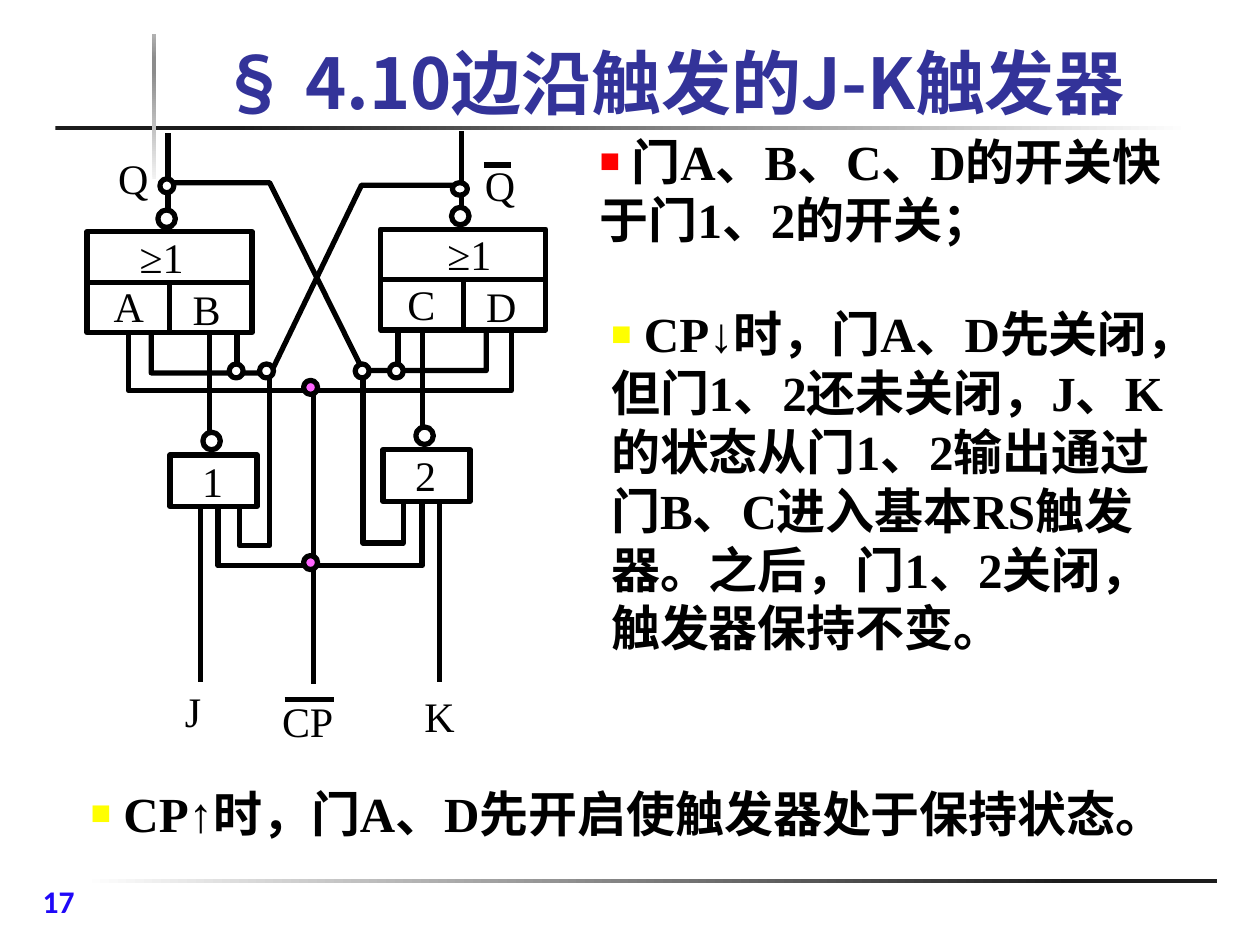
from copy import deepcopy
from typing import NamedTuple

from lxml.etree import SubElement
from pptx import Presentation
from pptx.dml.color import RGBColor
from pptx.enum.shapes import MSO_CONNECTOR as Connector, MSO_SHAPE as Preset
from pptx.enum.text import MSO_ANCHOR as Anchor, MSO_AUTO_SIZE as AutoSize, PP_ALIGN as Align
from pptx.oxml.ns import qn
from pptx.util import Pt

BLACK, WHITE, PINK = "000000", "FFFFFF", "FF66FF"
CJK, SERIF = "Noto Sans CJK SC", "Times New Roman"
TITLE_FONT = {"name": CJK, "size": Pt(40), "bold": True}
NUMBER_FONT = {"name": "Calibri", "size": Pt(18), "bold": True}
NOTE_FONT = {"name": SERIF, "size": Pt(28), "bold": True}
LABEL_FONT = {"name": SERIF, "size": Pt(24), "bold": False}


class Box(NamedTuple):
    left: float
    top: float
    width: float
    height: float


class Rule(NamedTuple):
    box: Box
    angle: int
    stops: list


class Note(NamedTuple):
    box: Box
    bullet: str
    text: str


class Label(NamedTuple):
    text: str
    left: float
    top: float


class Gate(NamedTuple):
    left: float
    top: float
    first: str
    second: str
    symbol_left: float


class Inverter(NamedTuple):
    left: float
    top: float
    text: str


class Node(NamedTuple):
    box: Box
    color: str


RULES = [
    Rule(Box(47.5, 502.5, 648, 2.2), 0, [(0, WHITE), (0.87, "1C1C1C")]),
    Rule(Box(31.7, 72, 648, 2.2), 0, [(0.16, "1C1C1C"), (1, WHITE)]),
    Rule(Box(87.1, 19.4, 2.2, 82.8), 90,
         [(0, "F2F2F2"), (0.74, "8C8C8C"), (0.83, "8C8C8C"), (1, "B2B2B2")]),
]
NOTES = [
    Note(Box(335.5, 71.3, 351.4, 75), "FF0000", "门A、B、C、D的开关快于门1、2的开关；"),
    Note(Box(342, 170, 336.2, 209), "FFFF00",
         "CP↓时，门A、D先关闭，但门1、2还未关闭，J、K的状态从门1、2输出通过门B、C进入基本RS触发器。"
         "之后，门1、2关闭，触发器保持不变。"),
    Note(Box(44.6, 444.2, 647.3, 41), "FFFF00", "CP↑时，门A、D先开启使触发器处于保持状态。"),
]
GATES = [Gate(49.7, 132.5, "A", "B", 23), Gate(217.5, 131, "C", "D", 31)]
INVERTERS = [Inverter(97.2, 260, "1"), Inverter(218.9, 257, "2")]
WIRES = [
    [(94.3, 104.4), (154.1, 104.4), (207.4, 211.7), (277.9, 211.7), (277.9, 189.4)],
    [(264.2, 105.8), (206.6, 105.8), (154.8, 213.1), (86.4, 213.1), (86.4, 190.8)],
    [(207.4, 211.7), (207.4, 310.3), (230.4, 310.3), (230.4, 286.6)],
    [(154.1, 213.1), (154.1, 311.8), (136.8, 311.8), (136.8, 288)],
    [(73.4, 190.8), (73.4, 223.2), (292.3, 223.2), (292.3, 189.4)],
    [(124.6, 289.4), (124.6, 323.3), (241.2, 323.3), (241.2, 288)],
]
LINES = [
    ((227.5, 189.4), (227.5, 211.7)),
    ((135.4, 190.8), (135.4, 208.8)),
    ((179.3, 224.6), (179.3, 391)),
    ((251.3, 286.6), (251.3, 389.5)),
    ((114.5, 289.4), (114.5, 389.5)),
    ((276.5, 94.3), (292.3, 94.3)),
    ((162.7, 399.6), (190.8, 399.6)),
]
NODES = [Node(Box(173.5, top, 8, 8), PINK) for top in (317.5, 217.4)]
NODES += [Node(Box(left, 208, 8, 8), WHITE) for left in (222.5, 131, 148.3, 203)]
NODES += [Node(Box(258.5, 104.4, 8.6, 7.2), WHITE), Node(Box(91.4, 102.2, 8, 8), WHITE)]
LABELS = [Label("Q", 60.5, 83.5), Label("Q", 270, 87.8), Label("CP", 154.1, 393.8),
          Label("J", 98.6, 388.1), Label("K", 235.4, 391)]


def color(value: str) -> RGBColor:
    return RGBColor.from_string(value)


def points(box: Box) -> list:
    return [Pt(length) for length in box]


def place(shape, box: Box) -> None:
    for name, length in box._asdict().items():
        setattr(shape, name, Pt(length))


def write(shape, text: str, font_format: dict, ink: str, **frame_format) -> None:
    frame = shape.text_frame
    settings = {"word_wrap": True, "auto_size": AutoSize.NONE, "vertical_anchor": Anchor.TOP}
    for name, value in (settings | frame_format).items():
        setattr(frame, name, value)
    paragraph = frame.paragraphs[0]
    paragraph.space_before = Pt(0)
    run = paragraph.add_run()
    run.text = text
    for name, value in font_format.items():
        setattr(run.font, name, value)
    run.font.color.rgb = color(ink)
    SubElement(run._r.get_or_add_rPr(), qn("a:ea")).set("typeface", CJK)


def draw_rule(shapes, rule: Rule) -> None:
    shape = shapes.add_shape(Preset.RECTANGLE, *points(rule.box))
    shape.shadow.inherit = False
    shape.line.fill.background()
    shape.fill.gradient()
    shape.fill.gradient_angle = rule.angle
    stop_list = shape._element.spPr.find(".//" + qn("a:gsLst"))
    for _ in rule.stops[2:]:
        stop_list.append(deepcopy(stop_list[0]))
    for stop, (position, value) in zip(shape.fill.gradient_stops, rule.stops):
        stop.position = position
        stop.color.rgb = color(value)


def write_note(shape, note: Note) -> None:
    place(shape, note.box)
    properties = shape.text_frame.paragraphs[0]._p.get_or_add_pPr()
    properties.set("marL", "0")
    properties.set("indent", "0")
    bullet_color = SubElement(properties, qn("a:buClr"))
    SubElement(bullet_color, qn("a:srgbClr")).set("val", note.bullet)
    SubElement(properties, qn("a:buSzPct")).set("val", "70000")
    SubElement(properties, qn("a:buChar")).set("char", "■")
    write(shape, " " + note.text, NOTE_FONT, BLACK)


def stroke(shape) -> None:
    shape.line.color.rgb = color(BLACK)
    shape.line.width = Pt(3)


def draw_outline(shapes, preset, box: Box, fill: str = ""):
    shape = shapes.add_shape(preset, *points(box))
    shape.shadow.inherit = False
    if fill:
        shape.fill.solid()
        shape.fill.fore_color.rgb = color(fill)
    else:
        shape.fill.background()
    stroke(shape)
    return shape


def draw_line(shapes, start: tuple, end: tuple):
    line = shapes.add_connector(Connector.STRAIGHT, *(Pt(value) for value in start + end))
    stroke(line)
    SubElement(line._element.spPr, qn("a:effectLst"))
    return line


def draw_wire(shapes, corners: list) -> None:
    start, *others = [(Pt(x), Pt(y)) for x, y in corners]
    builder = shapes.build_freeform(*start)
    builder.add_line_segments(others, close=False)
    wire = builder.convert_to_shape()
    wire.shadow.inherit = False
    wire.fill.background()
    stroke(wire)


def draw_label(shapes, label: Label) -> None:
    box = Box(label.left, label.top, 58, 36)
    write(shapes.add_textbox(*points(box)), label.text, LABEL_FONT, BLACK)


def draw_gate(shapes, gate: Gate) -> None:
    x, y = gate.left, gate.top
    width, height = 94.4, 57.6
    middle_x, middle_y = x + width / 2, y + height / 2
    body = draw_outline(shapes, Preset.RECTANGLE, Box(x, y, width, height))
    divider = draw_line(shapes, (x, middle_y), (x + width, middle_y))
    divider.begin_connect(body, 1)
    divider.end_connect(body, 3)
    draw_line(shapes, (middle_x, y + height), (middle_x, middle_y)).begin_connect(body, 2)
    draw_outline(shapes, Preset.OVAL, Box(x + 40.5, y - 12.5, 10, 10))
    draw_line(shapes, (x + 46.3, y - 12.5), (x + 46.3, y - 56.2))
    for label in (Label("≥1", x + gate.symbol_left, y - 4),
                  Label(gate.first, x + 8.2, y + 24.5), Label(gate.second, x + 53.3, y + 26)):
        draw_label(shapes, label)


def draw_inverter(shapes, inverter: Inverter) -> None:
    x, y = inverter.left, inverter.top
    draw_outline(shapes, Preset.RECTANGLE, Box(x, y, 49.7, 29.5))
    draw_outline(shapes, Preset.OVAL, Box(x + 18.7, y - 13, 10, 10))
    draw_line(shapes, (x + 22.6, y - 13), (x + 22.6, y - 68.5))
    draw_label(shapes, Label(inverter.text, x + 11.2, y - 3.5))


def main() -> None:
    presentation = Presentation()
    presentation.slide_width, presentation.slide_height = Pt(720), Pt(540)
    slide = presentation.slides.add_slide(presentation.slide_layouts[4])
    shapes = slide.shapes
    title, *bodies = list(slide.placeholders)
    place(title, Box(100.8, 24.5, 566.6, 46.1))
    write(title, "§ 4.10边沿触发的J-K触发器", TITLE_FONT, "333399",
          vertical_anchor=Anchor.BOTTOM, margin_top=0, margin_bottom=0)
    title.text_frame.paragraphs[0].alignment = Align.CENTER
    for body, note in zip(bodies, NOTES):
        write_note(body, note)
    for spare in bodies[len(NOTES):]:
        spare._element.getparent().remove(spare._element)
    number = shapes.add_textbox(*points(Box(17.3, 500.4, 71.3, 26.6)))
    write(number, "17", NUMBER_FONT, "1F08F8")
    for rule in RULES:
        draw_rule(shapes, rule)
    for gate in GATES:
        draw_gate(shapes, gate)
    for inverter in INVERTERS:
        draw_inverter(shapes, inverter)
    for corners in WIRES:
        draw_wire(shapes, corners)
    for start, end in LINES:
        draw_line(shapes, start, end)
    for node in NODES:
        draw_outline(shapes, Preset.OVAL, node.box, node.color)
    for label in LABELS:
        draw_label(shapes, label)
    presentation.save("out.pptx")


if __name__ == "__main__":
    main()
